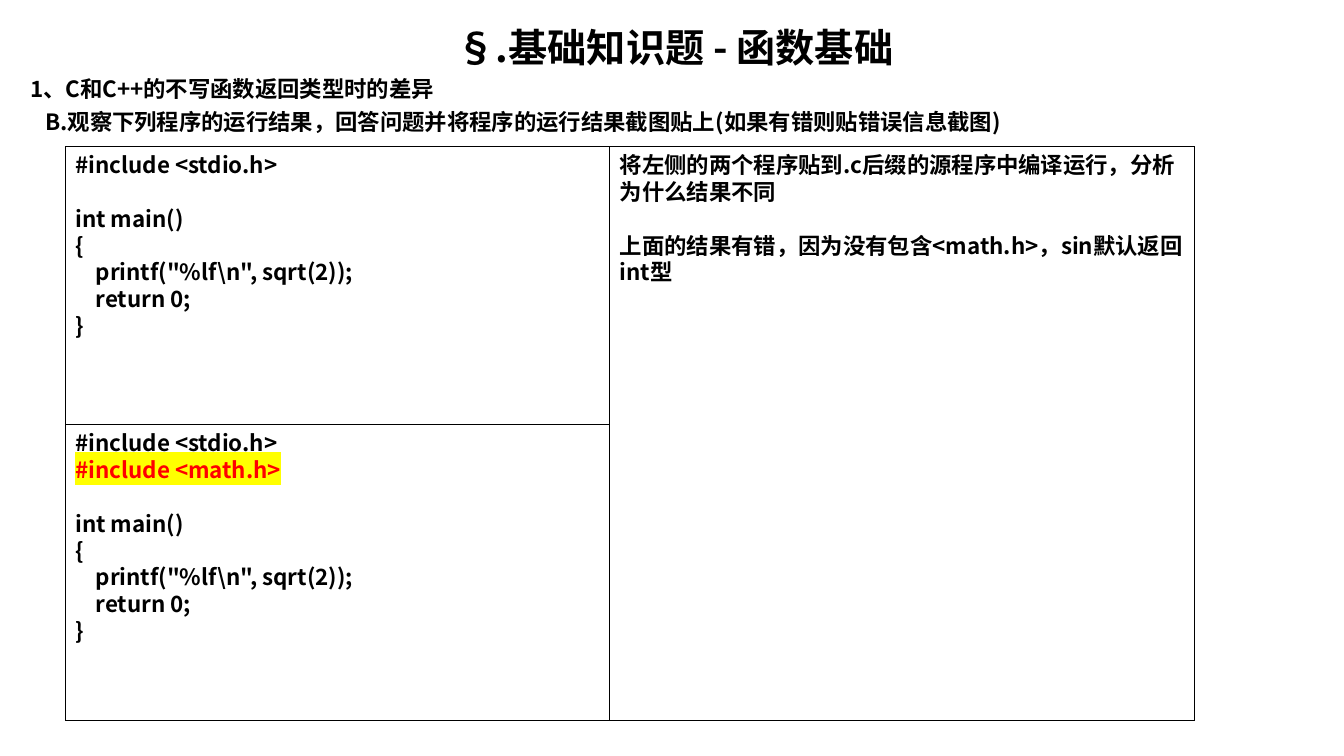
import pptx
import pptx.util
import pptx.dml.color
import pptx.enum.shapes
import pptx.enum.text
import pptx.oxml
import pptx.oxml.ns
from dataclasses import dataclass
from lxml import etree

Inches, Pt = pptx.util.Inches, pptx.util.Pt
RGB = pptx.dml.color.RGBColor.from_string
ALIGN = pptx.enum.text.PP_ALIGN
qn = pptx.oxml.ns.qn


@dataclass(frozen=True)
class Theme:
    font: str = "Noto Sans CJK SC"
    ink: str = "000000"
    alert: str = "FF0000"
    mark: str = "FFFF00"
    title: float = 28
    body: float = 16
    gap: float = 3.8
    blank: float = 19.2
    line: float = 0.75


THEME = Theme()

CODE = r'''
int main()
{
    printf("%lf\n", sqrt(2));
    return 0;
}'''
STDIO = "#include <stdio.h>"
MATH = "#include <math.h>"
NOTE = """将左侧的两个程序贴到.c后缀的源程序中编译运行，分析为什么结果不同

上面的结果有错，因为没有包含<math.h>，sin默认返回int型"""


def style(run, size, color, mark=None):
    font = run.font
    for name, value in {"size": Pt(size), "bold": True}.items():
        setattr(font, name, value)
    font.color.rgb = RGB(color)
    props = run._r.get_or_add_rPr()
    if mark:
        tag = etree.SubElement(props, qn("a:highlight"))
        etree.SubElement(tag, qn("a:srgbClr")).set("val", mark)
    font.name = THEME.font
    etree.SubElement(props, qn("a:ea")).set("typeface", THEME.font)


def add_line(frame, text, size=THEME.body, color=THEME.ink, mark=None,
             before=0, align=ALIGN.LEFT, indent=0):
    para = frame.paragraphs[0]
    if para.runs:
        para = frame.add_paragraph()
    props = para._p.get_or_add_pPr()
    props.set("marL", str(Inches(indent)))
    props.set("indent", "0")
    para.alignment = align
    if before:
        para.space_before = Pt(before)
    run = para.add_run()
    run.text = text
    style(run, size, color, mark)


def setup(frame):
    frame.word_wrap = True
    frame.vertical_anchor = pptx.enum.text.MSO_ANCHOR.TOP


def add_head(slide, box):
    frame = slide.shapes.add_textbox(*map(Inches, box)).text_frame
    setup(frame)
    add_line(frame, "§.基础知识题 - 函数基础", size=THEME.title, align=ALIGN.CENTER)
    add_line(frame, "1、C和C++的不写函数返回类型时的差异", before=THEME.gap)
    add_line(frame, "B.观察下列程序的运行结果，回答问题并将程序的运行结果截图贴上"
             "(如果有错则贴错误信息截图)", before=THEME.gap, indent=0.15)


def add_panel(slide, box, text, hot=None):
    """Outlined box of text; a blank line becomes space, the hot line is marked."""
    rect = pptx.enum.shapes.MSO_SHAPE.RECTANGLE
    shape = slide.shapes.add_shape(rect, *map(Inches, box))
    shape.shadow.inherit = False
    shape.fill.background()
    shape.line.color.rgb = RGB(THEME.ink)
    shape.line.width = Pt(THEME.line)
    setup(shape.text_frame)
    before = 0
    for line in text.split("\n"):
        if not line:
            before = THEME.blank
            continue
        look = {"color": THEME.alert, "mark": THEME.mark} if line == hot else {}
        add_line(shape.text_frame, line, before=before, **look)
        before = 0


def add_body(slide, box):
    left, top, width, height = box
    split, drop = 5.4, 2.76
    add_panel(slide, box, f"{STDIO}\n{CODE}")
    add_panel(slide, (left + split, top, width - split, height), NOTE)
    add_panel(slide, (left, top + drop, split, height - drop),
              f"{STDIO}\n{MATH}\n{CODE}", hot=MATH)


def main():
    deck = pptx.Presentation()
    deck.slide_width, deck.slide_height = Inches(13.33), Inches(7.5)
    slide = deck.slides.add_slide(deck.slide_layouts[6])
    add_head(slide, (0.2, 0.18, 12.99, 1.2))
    add_body(slide, (0.65, 1.45, 11.2, 5.7))
    deck.save("out.pptx")


if __name__ == "__main__":
    main()
